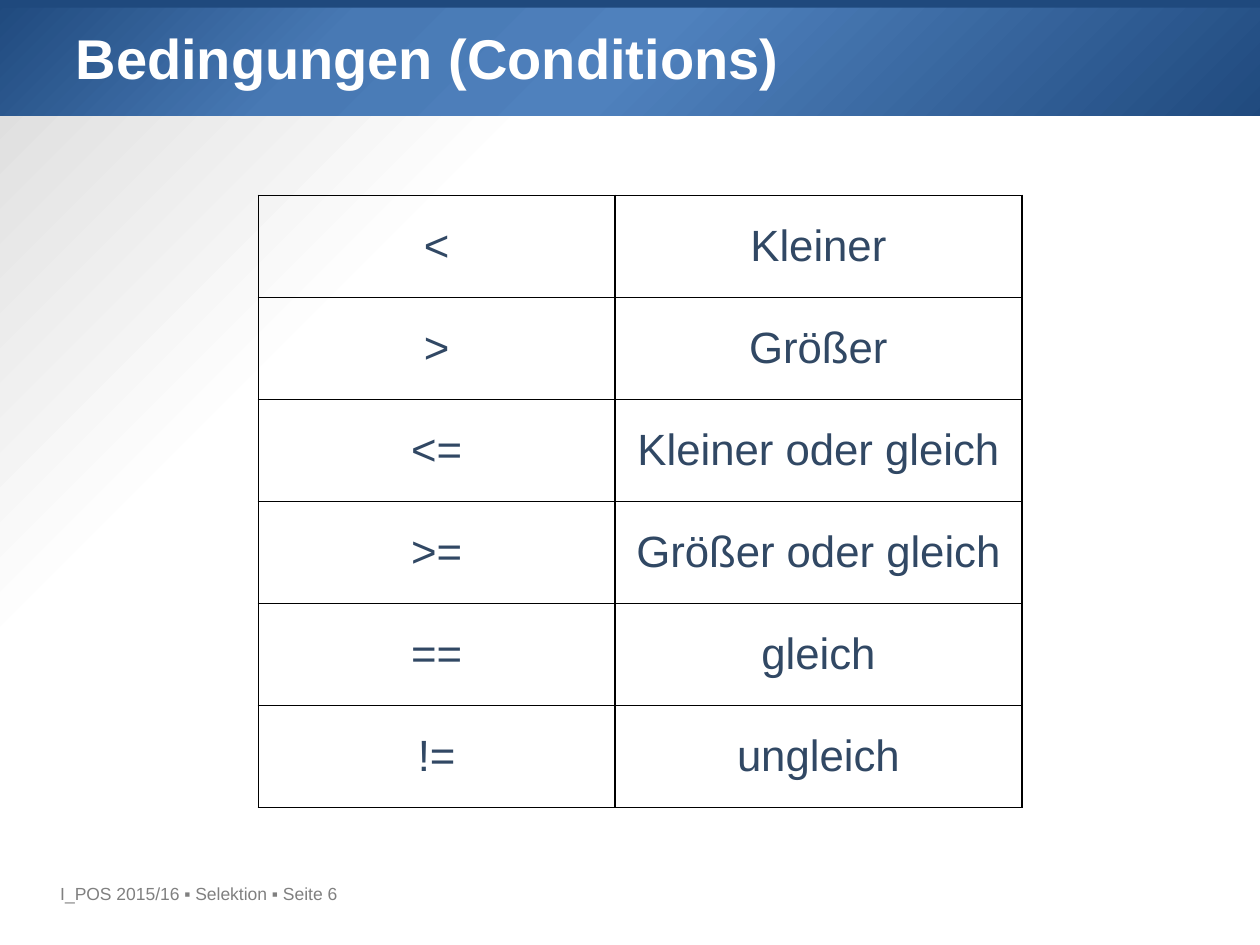
from pptx import Presentation
from pptx import util as u
from pptx.dml import color
from pptx.enum import shapes, text
from pptx.oxml import parse_xml
from pptx.oxml.ns import nsdecls, qn

COLUMNS, ROWS = 100, 75
NAVY, WHITE, BLACK = "1F497D", "FFFFFF", "000000"
CONDITIONS = [
    ("<", "Kleiner"),
    (">", "Größer"),
    ("<=", "Kleiner oder gleich"),
    (">=", "Größer oder gleich"),
    ("==", "gleich"),
    ("!=", "ungleich"),
]


def rgb(value):
    return color.RGBColor.from_string(value)


class Lesson:
    """Draws styled elements on one slide, measured in grid columns and rows."""

    formats = {
        "title": {"size": u.Pt(32), "bold": True, "name": "Arial", "color": WHITE},
        "cell": {"size": u.Pt(25), "bold": False, "name": "Arial", "color": "314864"},
        "footer": {"size": u.Pt(10), "bold": False, "name": "Arial", "color": "808080"},
    }

    def __init__(self, deck):
        self.deck = deck
        self.page = deck.slides.add_slide(deck.slide_layouts[5])

    def x(self, columns):
        return round(self.deck.slide_width * columns / COLUMNS)

    def y(self, rows):
        return round(self.deck.slide_height * rows / ROWS)

    def area(self, left, top, width, height):
        return self.x(left), self.y(top), self.x(width), self.y(height)

    def set_text(self, frame, words, style, align=text.PP_ALIGN.LEFT):
        para = frame.paragraphs[0]
        para.alignment = align
        span = para.add_run()
        span.text = words
        for key, value in self.formats[style].items():
            if key == "color":
                span.font.color.rgb = rgb(value)
            else:
                setattr(span.font, key, value)

    def gradient(self, owner, fill, stops, focus):
        fill.gradient()
        old = owner.find(".//" + qn("a:gradFill"))
        marks = "".join(
            f'<a:gs pos="{share * 1000}"><a:srgbClr val="{shade}"/></a:gs>'
            for share, shade in stops
        )
        sides = " ".join(f'{side}="{share * 1000}"' for side, share in zip("ltrb", focus))
        new = parse_xml(
            f'<a:gradFill {nsdecls("a")} rotWithShape="1"><a:gsLst>{marks}</a:gsLst>'
            f'<a:path path="circle"><a:fillToRect {sides}/></a:path></a:gradFill>'
        )
        old.getparent().replace(old, new)

    def background(self, stops, focus):
        self.gradient(self.page._element, self.page.background.fill, stops, focus)

    def band(self, area, fill=None, stops=None, focus=None):
        box = self.page.shapes.add_shape(shapes.MSO_SHAPE.RECTANGLE, *self.area(*area))
        box.shadow.inherit = False
        box.line.fill.background()
        if stops:
            self.gradient(box._element, box.fill, stops, focus)
        else:
            box.fill.solid()
            box.fill.fore_color.rgb = rgb(fill)

    def footer(self, area, words):
        box = self.page.shapes.add_textbox(*self.area(*area))
        box.text_frame.word_wrap = True
        self.set_text(box.text_frame, words, "footer")

    def title(self, area, words):
        box = self.page.shapes.title
        box.left, box.top, box.width, box.height = self.area(*area)
        box.text_frame.vertical_anchor = text.MSO_ANCHOR.TOP
        box.text_frame.auto_size = text.MSO_AUTO_SIZE.NONE
        self.set_text(box.text_frame, words, "title")
        self.page.shapes._spTree.append(box._element)

    def table(self, left, top, widths, row_height, rows):
        area = self.area(left, top, sum(widths), row_height * len(rows))
        table = self.page.shapes.add_table(len(rows), len(widths), *area).table
        table.first_row = table.horz_banding = False
        for column, width in zip(table.columns, widths):
            column.width = self.x(width)
        for line, words in zip(table.rows, rows):
            line.height = self.y(row_height)
            for cell, word in zip(line.cells, words):
                self.cell(cell, word)

    def cell(self, cell, word):
        for side in ("left", "right", "top", "bottom"):
            setattr(cell, f"margin_{side}", u.Inches(0.04))
        cell.vertical_anchor = text.MSO_ANCHOR.MIDDLE
        for side in "LRTB":
            cell._tc.get_or_add_tcPr().append(parse_xml(
                f'<a:ln{side} {nsdecls("a")} w="12700"><a:solidFill>'
                f'<a:srgbClr val="{BLACK}"/></a:solidFill></a:ln{side}>'
            ))
        cell.fill.background()
        self.set_text(cell.text_frame, word, "cell", text.PP_ALIGN.CENTER)


def main():
    deck = Presentation()
    deck.slide_width, deck.slide_height = u.Inches(10), u.Inches(7.5)
    lesson = Lesson(deck)
    lesson.background([(70, WHITE), (100, "D9D9D9")], (100, 100, 0, 0))
    blues = [(0, NAVY), (27, "4879B4"), (50, "4F81BD"), (100, NAVY)]
    lesson.band((-0.1, -0.1, 101.2, 9.3), stops=blues, focus=(0, 0, 100, 100))
    lesson.band((-0.1, -0.3, 101.2, 0.9), fill=NAVY)
    lesson.footer((3.8, 69.6, 32.4, 2.6), "I_POS 2015/16 ▪ Selektion ▪ Seite 6")
    lesson.table(20.5, 15.5, (28.3, 32.3), 8.1, CONDITIONS)
    lesson.title((5, 1.4, 90, 12.5), "Bedingungen (Conditions)")
    deck.save("out.pptx")


if __name__ == "__main__":
    main()
